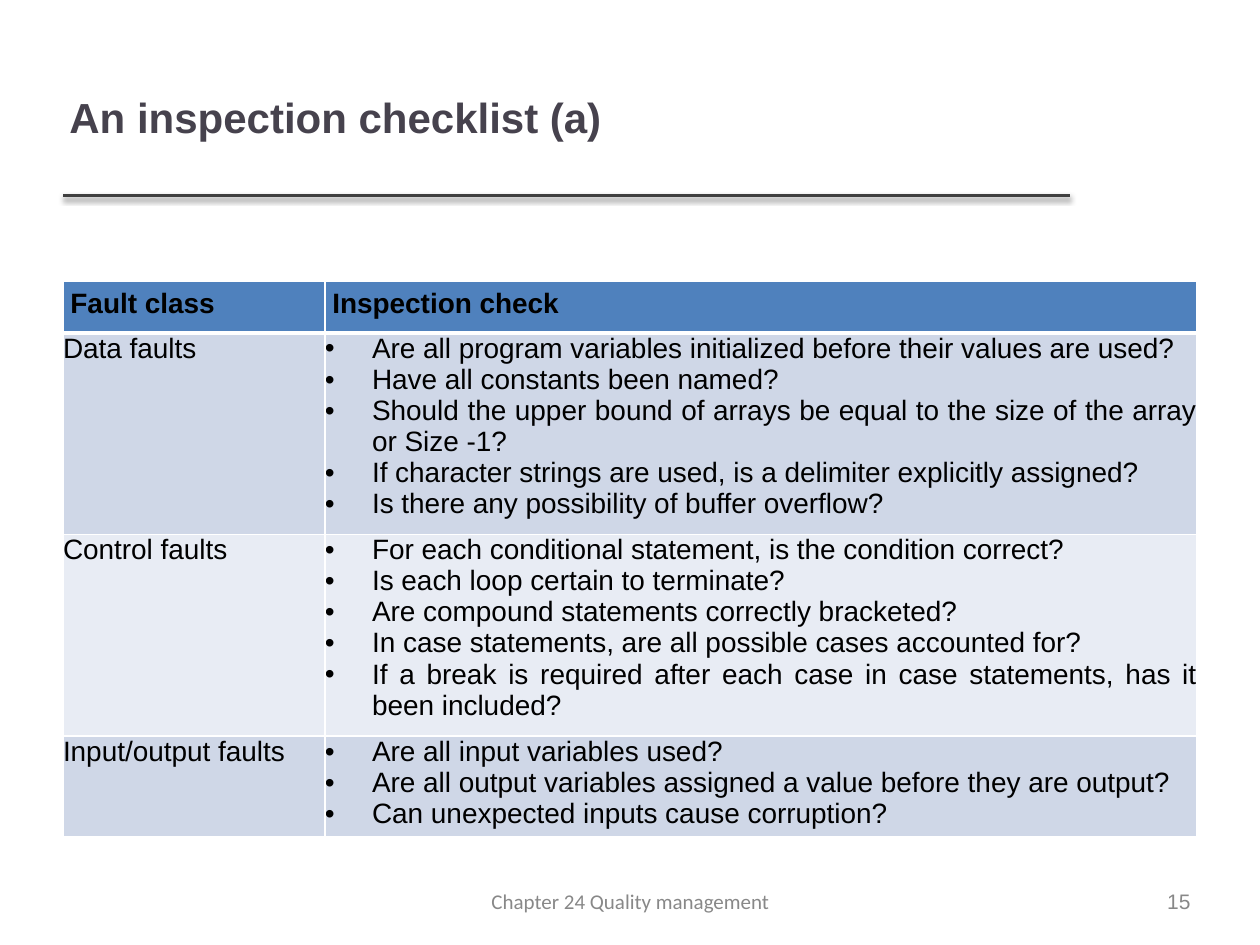
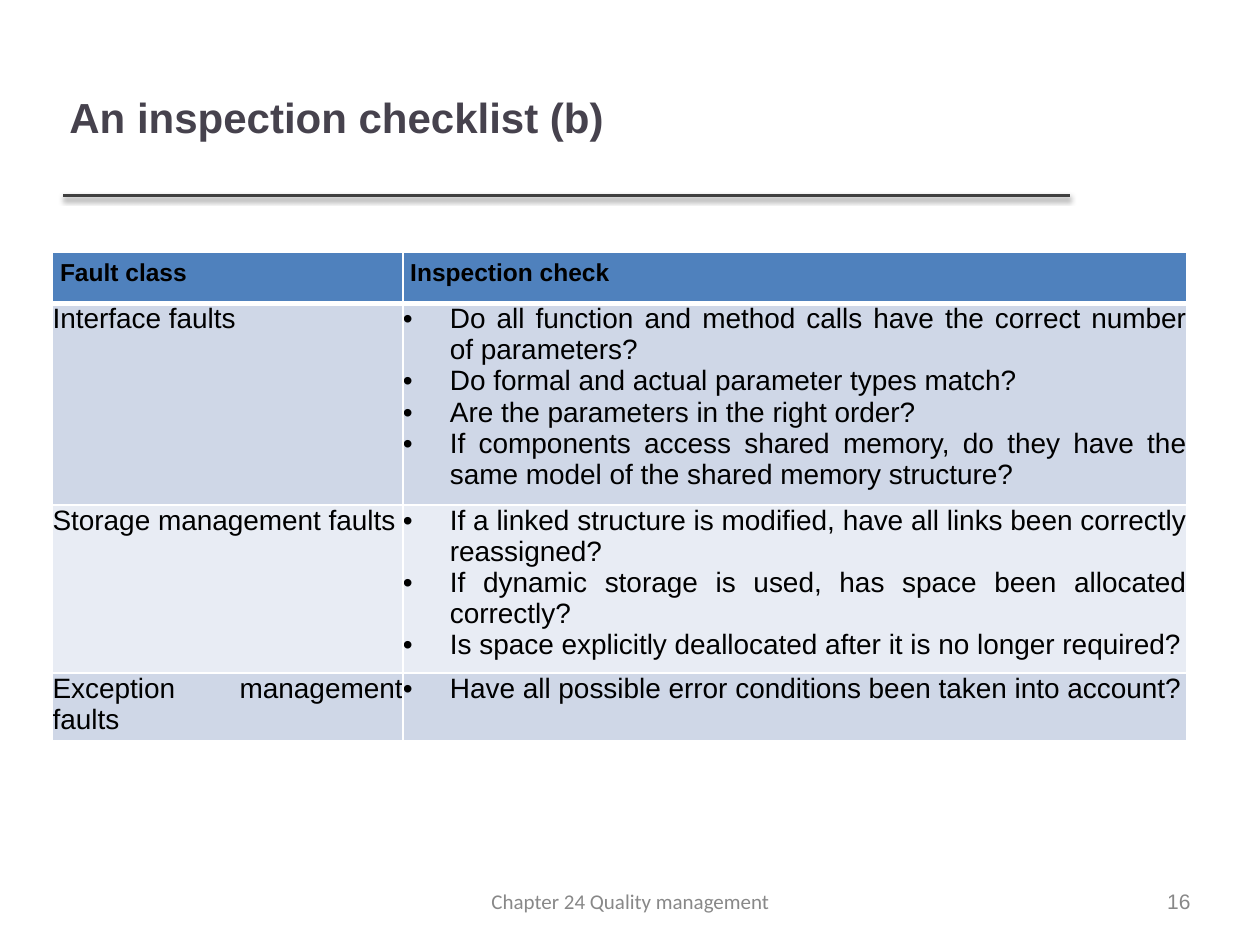
from dataclasses import dataclass

from lxml import etree
from pptx import Presentation
from pptx import util as u
from pptx.dml.color import RGBColor
from pptx.enum import shapes, text
from pptx.oxml import parse_xml
from pptx.oxml.ns import nsdecls, qn


@dataclass(frozen=True)
class Theme:
    title: str = "46424D"
    rule: str = "404040"
    muted: str = "888888"
    body: str = "000000"
    border: str = "FFFFFF"
    header_fill: str = "4F81BD"
    band_fills: tuple = ("CFD7E7", "E8ECF4")
    font: str = "Arial"
    footer_font: str = "Calibri"
    title_size: int = 24
    body_size: int = 16
    footer_size: int = 12


THEME = Theme()
ALIGN = text.PP_ALIGN
FOOTER = "Chapter 24 Quality management"
HEADINGS = ("Fault class", "Inspection check")
HEADER_HEIGHT = 1.04
LINE_HEIGHT = 0.627
TABLE_WIDTH = 22.86

# Table left, top and first column width are in centimetres;
# line_counts gives the text lines that each body row holds.
checklists = [
    {
        "title": "An inspection checklist (a)",
        "page": 15,
        "left": 1.27, "top": 5.67, "class_width": 5.28, "heading_size": 16,
        "line_counts": (6, 6, 3),
        "faults": {
            "Data faults": [
                "Are all program variables initialized before their values are used?",
                "Have all constants been named?",
                "Should the upper bound of arrays be equal to the size of the array or Size -1?",
                "If character strings are used, is a delimiter explicitly assigned?",
                "Is there any possibility of buffer overflow?",
            ],
            "Control faults": [
                "For each conditional statement, is the condition correct?",
                "Is each loop certain to terminate?",
                "Are compound statements correctly bracketed?",
                "In case statements, are all possible cases accounted for?",
                "If a break is required after each case in case statements, has it been included?",
            ],
            "Input/output faults": [
                "Are all input variables used?",
                "Are all output variables assigned a value before they are output?",
                "Can unexpected inputs cause corruption?",
            ],
        },
    },
    {
        "title": "An inspection checklist (b)",
        "page": 16,
        "left": 1.06, "top": 5.08, "class_width": 7.06, "heading_size": 14,
        "line_counts": (6, 5, 2),
        "faults": {
            "Interface faults": [
                "Do all function and method calls have the correct number of parameters?",
                "Do formal and actual parameter types match?",
                "Are the parameters in the right order?",
                "If components access shared memory, do they have the same model of the shared memory structure?",
            ],
            "Storage management faults": [
                "If a linked structure is modified, have all links been correctly reassigned?",
                "If dynamic storage is used, has space been allocated correctly?",
                "Is space explicitly deallocated after it is no longer required?",
            ],
            "Exception management faults": [
                "Have all possible error conditions been taken into account?",
            ],
        },
    },
]


def write(frame, content, size, color, align, bold=False, font=THEME.font):
    """Fill a text frame, one paragraph per line, and format its runs."""
    frame.text = content
    for para in frame.paragraphs:
        para.alignment = align
        for span in para.runs:
            span.font.name = font
            span.font.size = u.Pt(size)
            span.font.bold = bold
            span.font.color.rgb = RGBColor.from_string(color)


def add_label(page, place, content, size, color, align, **style):
    """Add a vertically centred text box; place is left, top, width, height in cm."""
    frame = page.shapes.add_textbox(*map(u.Cm, place)).text_frame
    frame.word_wrap = True
    frame.vertical_anchor = text.MSO_ANCHOR.MIDDLE
    frame.margin_left = frame.margin_right = u.Cm(0.13)
    frame.margin_top = frame.margin_bottom = u.Cm(0.13)
    write(frame, content, size, color, align, **style)


deck = Presentation()
deck.slide_width, deck.slide_height = u.Cm(25.4), u.Cm(19.05)

for checklist in checklists:
    page = deck.slides.add_slide(deck.slide_layouts[6])

    # Title, rule and footer
    rule = page.shapes.add_connector(
        shapes.MSO_CONNECTOR.STRAIGHT, u.Cm(1.27), u.Cm(3.94), u.Cm(21.56), u.Cm(3.94))
    rule.line.color.rgb = RGBColor.from_string(THEME.rule)
    rule.line.width = u.Pt(2)
    rule._element.spPr.append(parse_xml(
        f'<a:effectLst {nsdecls("a")}>'
        f'<a:outerShdw blurRad="{u.Pt(3)}" dist="{u.Pt(1.6)}" dir="5400000" rotWithShape="0">'
        '<a:srgbClr val="000000"><a:alpha val="38000"/></a:srgbClr>'
        '</a:outerShdw></a:effectLst>'))
    add_label(page, (8.81, 17.83, 7.8, 0.69), FOOTER, THEME.footer_size, THEME.muted,
              ALIGN.CENTER, font=THEME.footer_font)
    add_label(page, (1.27, 0.76, 20.27, 3.18), checklist["title"], THEME.title_size,
              THEME.title, ALIGN.LEFT, bold=True)
    add_label(page, (23.33, 17.83, 0.8, 0.69), str(checklist["page"]), THEME.footer_size,
              THEME.muted, ALIGN.RIGHT)

    # Checklist table
    rows = [HEADINGS] + [(fault, "\n".join(checks))
                         for fault, checks in checklist["faults"].items()]
    heights = [HEADER_HEIGHT] + [LINE_HEIGHT * count for count in checklist["line_counts"]]
    table = page.shapes.add_table(
        len(rows), len(HEADINGS), u.Cm(checklist["left"]), u.Cm(checklist["top"]),
        u.Cm(TABLE_WIDTH), u.Cm(sum(heights))).table
    table.columns[0].width = u.Cm(checklist["class_width"])
    table.columns[1].width = u.Cm(TABLE_WIDTH - checklist["class_width"])

    for row_index, (row, height) in enumerate(zip(rows, heights)):
        table.rows[row_index].height = u.Cm(height)
        is_header = row_index == 0
        fill = THEME.header_fill if is_header else THEME.band_fills[(row_index - 1) % 2]
        size = checklist["heading_size"] if is_header else THEME.body_size
        margin = u.Cm(0.15 if is_header else 0)
        thick_edge = {0: "B", 1: "T"}.get(row_index)

        for column_index, content in enumerate(row):
            cell = table.cell(row_index, column_index)
            cell.margin_left = cell.margin_right = margin
            cell.margin_top = cell.margin_bottom = margin
            write(cell.text_frame, content, size, THEME.body, ALIGN.JUSTIFY, bold=is_header)

            properties = cell._tc.get_or_add_tcPr()
            for edge in "LRTB":
                width = u.Pt(3 if edge == thick_edge else 1)
                properties.append(parse_xml(
                    f'<a:ln{edge} {nsdecls("a")} w="{width}"><a:solidFill>'
                    f'<a:srgbClr val="{THEME.border}"/></a:solidFill></a:ln{edge}>'))
            cell.fill.solid()
            cell.fill.fore_color.rgb = RGBColor.from_string(fill)

            if is_header or column_index == 0:
                continue
            for para in cell.text_frame.paragraphs:
                layout = para._p.get_or_add_pPr()
                layout.set("marL", str(u.Cm(0.95)))
                layout.set("indent", str(-u.Cm(0.95)))
                etree.SubElement(layout, qn("a:buFont"), typeface=THEME.font)
                etree.SubElement(layout, qn("a:buChar"), char="•")
                tabs = etree.SubElement(layout, qn("a:tabLst"))
                etree.SubElement(tabs, qn("a:tab"), pos=str(u.Cm(0.64)), algn="l")

deck.save("out.pptx")
